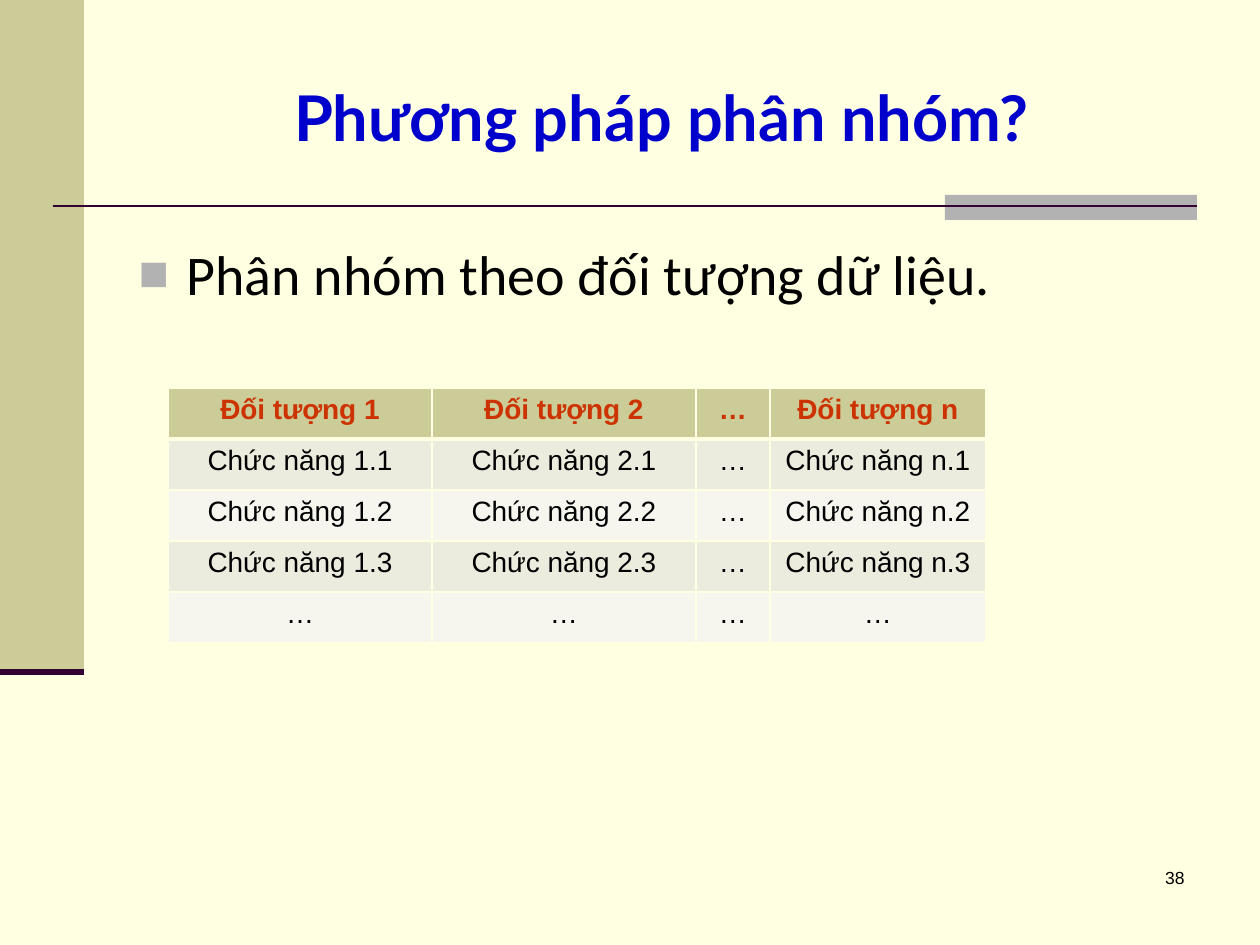
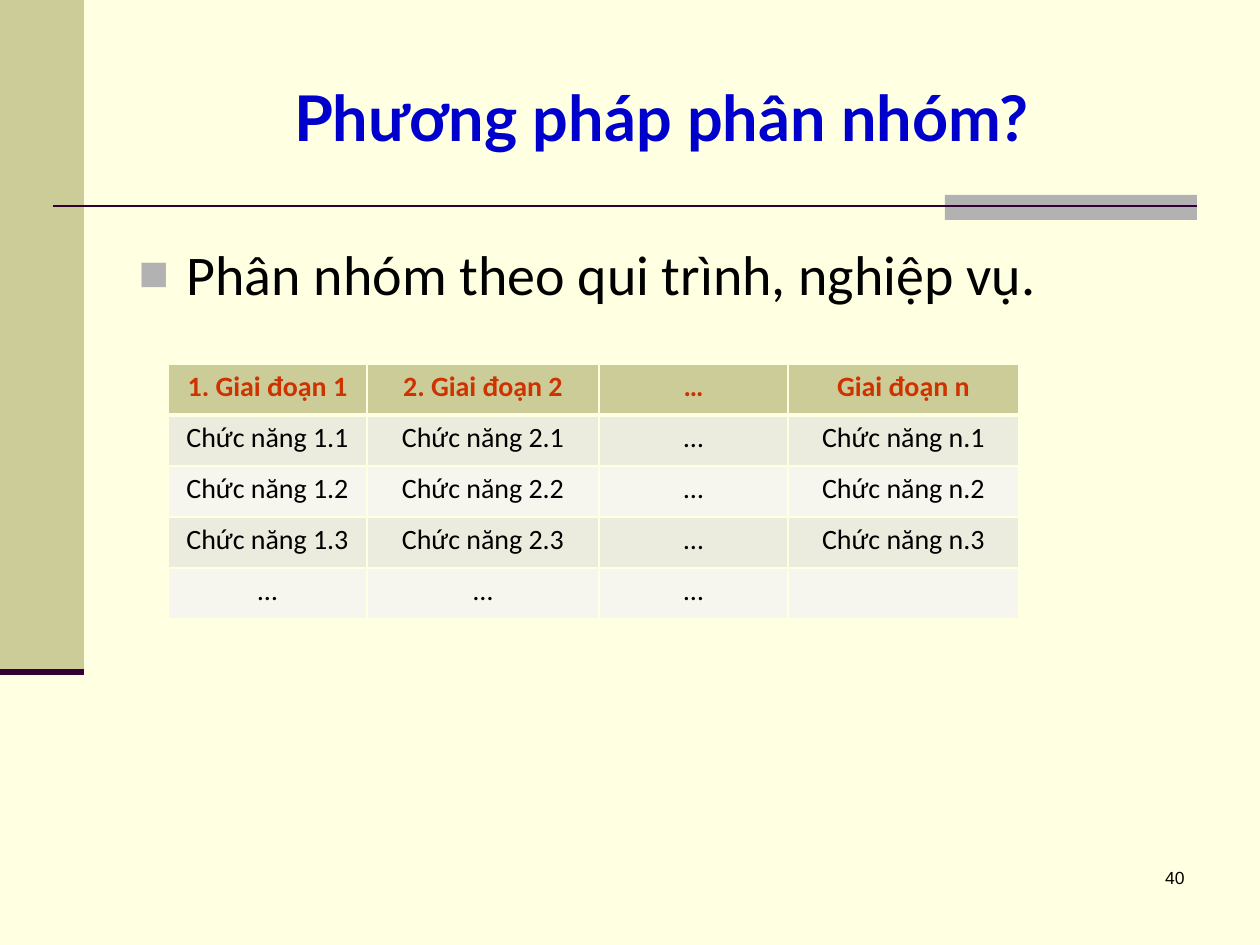
from dataclasses import dataclass

from lxml import etree
from pptx import Presentation
from pptx.dml.color import RGBColor as RGB
from pptx.enum.shapes import MSO_CONNECTOR as CONN, MSO_SHAPE as SHAPE
from pptx.enum.text import MSO_ANCHOR as ANCHOR, MSO_AUTO_SIZE as AUTO, PP_ALIGN as ALIGN
from pptx.oxml.ns import qn
from pptx.util import Emu, Pt


@dataclass(frozen=True)
class Theme:
    """Colours, fonts and type sizes of the deck."""
    paper: str = "FFFFE1"
    band: str = "CCCC99"
    tab: str = "B2B2B2"
    rule: str = "330033"
    title: str = "0000CC"
    text: str = "000000"
    head: str = "CC3300"
    stripes: tuple = ("ECECDE", "F6F6EF")
    title_font: str = "Lato"
    body_font: str = "Calibri"
    plain_font: str = "Arial"
    title_size: int = 36
    body_size: int = 32
    cell_size: int = 16
    page_size: int = 10


T = Theme()
ROW_H = 51
TABLE_LEFT = 168
DOTS = "…"


def px(n):
    """Turn pixels into EMU."""
    return Emu(round(n * 914400 / 126))


def box(*lengths):
    """Turn a run of pixel lengths into EMU."""
    return [px(n) for n in lengths]


def place(sp, *bounds):
    """Move and size a shape."""
    sp.left, sp.top, sp.width, sp.height = box(*bounds)


def add_run(p, text, font, size, color, bold=False):
    """Add one formatted run to a paragraph."""
    r = p.add_run()
    r.text = text
    r.font.name, r.font.size, r.font.bold = font, Pt(size), bold
    r.font.color.rgb = RGB.from_string(color)


def add_rect(slide, color, *bounds):
    """Add a plain filled rectangle."""
    sp = slide.shapes.add_shape(SHAPE.RECTANGLE, *box(*bounds))
    sp.shadow.inherit = False
    sp.fill.solid()
    sp.fill.fore_color.rgb = RGB.from_string(color)
    sp.line.fill.background()


def add_rule(slide, width, *ends):
    """Add a straight line without a shadow."""
    ln = slide.shapes.add_connector(CONN.STRAIGHT, *box(*ends))
    ln.line.color.rgb = RGB.from_string(T.rule)
    ln.line.width = Pt(width)
    etree.SubElement(ln._element.spPr, qn("a:effectLst"))


def add_frame(slide):
    """Add the side band and the rules shared by all slides."""
    add_rect(slide, T.band, 0, 0, 84, 672)
    add_rect(slide, T.tab, 945, 195, 252, 25)
    add_rule(slide, 1.5, 53, 206, 1197, 206)
    add_rule(slide, 3.5, 0, 672, 84, 672)


def set_title(slide, text):
    """Fill the title placeholder."""
    sp = slide.shapes.title
    place(sp, 126, 38, 1071, 157)
    tf = sp.text_frame
    tf.auto_size, tf.vertical_anchor = AUTO.NONE, ANCHOR.MIDDLE
    p = tf.paragraphs[0]
    p.alignment = ALIGN.CENTER
    add_run(p, text, T.title_font, T.title_size, T.title, True)


def add_bullet(p):
    """Give a paragraph a hanging square bullet."""
    pPr = p._p.get_or_add_pPr()
    pPr.set("marL", str(px(48)))
    pPr.set("indent", str(-px(48)))
    color = etree.SubElement(pPr, qn("a:buClr"))
    etree.SubElement(color, qn("a:srgbClr"), val=T.tab)
    etree.SubElement(pPr, qn("a:buSzPct"), val="90000")
    etree.SubElement(pPr, qn("a:buFont"), typeface=T.plain_font)
    etree.SubElement(pPr, qn("a:buChar"), char="■")


def set_body(slide, text):
    """Fill the body placeholder with one bullet."""
    sp = slide.placeholders[1]
    place(sp, 126, 220, 1071, 624)
    tf = sp.text_frame
    tf.auto_size = AUTO.NONE
    p = tf.paragraphs[0]
    add_bullet(p)
    p.alignment, p.line_spacing, p.space_before = ALIGN.JUSTIFY, 1.2, Pt(0)
    add_run(p, text, T.body_font, T.body_size, T.text)


def add_page_number(slide, number):
    """Add the page number at the lower right."""
    tf = slide.shapes.add_textbox(*box(935, 861, 262, 63)).text_frame
    tf.word_wrap = True
    p = tf.paragraphs[0]
    p.alignment = ALIGN.RIGHT
    add_run(p, str(number), T.plain_font, T.page_size, T.text)


def set_borders(cell, top, bottom):
    """Draw the four borders of a cell, with widths in points."""
    tcPr = cell._tc.get_or_add_tcPr()
    for side, width in (("L", 1), ("R", 1), ("T", top), ("B", bottom)):
        ln = etree.SubElement(tcPr, qn(f"a:ln{side}"), w=str(Pt(width)))
        fill = etree.SubElement(ln, qn("a:solidFill"))
        etree.SubElement(fill, qn("a:srgbClr"), val=T.paper)


def add_grid(slide, top, widths, rows, font):
    """Add a table with a heading row and striped rows."""
    bounds = box(TABLE_LEFT, top, sum(widths), ROW_H * len(rows))
    table = slide.shapes.add_table(len(rows), len(widths), *bounds).table
    for col, width in zip(table.columns, widths):
        col.width = px(width)
    for i, texts in enumerate(rows):
        table.rows[i].height = px(ROW_H)
        is_head = i == 0
        fill = T.band if is_head else T.stripes[(i - 1) % 2]
        for j, text in enumerate(texts):
            cell = table.cell(i, j)
            set_borders(cell, 3 if i == 1 else 1, 3 if is_head else 1)
            cell.fill.solid()
            cell.fill.fore_color.rgb = RGB.from_string(fill)
            p = cell.text_frame.paragraphs[0]
            p.alignment = ALIGN.CENTER
            if text:
                add_run(p, text, font, T.cell_size, T.head if is_head else T.text, is_head)


def function_rows(heads, last):
    """List the heading row, three rows of functions and the last row."""
    rows = [[DOTS if g == DOTS else f"Chức năng {g}.{n}" for g in ("1", "2", DOTS, "n")]
            for n in (1, 2, 3)]
    return [heads, *rows, last]


def add_grouping_slide(prs, bullet, page, top, widths, rows, font):
    """Add one slide about a way of grouping functions."""
    slide = prs.slides.add_slide(prs.slide_layouts[1])
    add_frame(slide)
    set_title(slide, "Phương pháp phân nhóm?")
    set_body(slide, bullet)
    add_page_number(slide, page)
    add_grid(slide, top, widths, rows, font)


def main():
    """Build and save the deck."""
    prs = Presentation()
    prs.slide_width, prs.slide_height = box(1260, 945)
    fill = prs.slide_master.background.fill
    fill.solid()
    fill.fore_color.rgb = RGB.from_string(T.paper)

    objects = ["Đối tượng 1", "Đối tượng 2", DOTS, "Đối tượng n"]
    add_grouping_slide(prs, "Phân nhóm theo đối tượng dữ liệu.", 38, 388,
                       [264, 264, 74, 216], function_rows(objects, [DOTS] * 4), T.plain_font)

    stages = ["1. Giai đoạn 1", "2. Giai đoạn 2", DOTS, "Giai đoạn n"]
    add_grouping_slide(prs, "Phân nhóm theo qui trình, nghiệp vụ.", 40, 364,
                       [199, 232, 189, 231], function_rows(stages, [DOTS] * 3 + [""]), T.body_font)
    prs.save("out.pptx")


if __name__ == "__main__":
    main()
